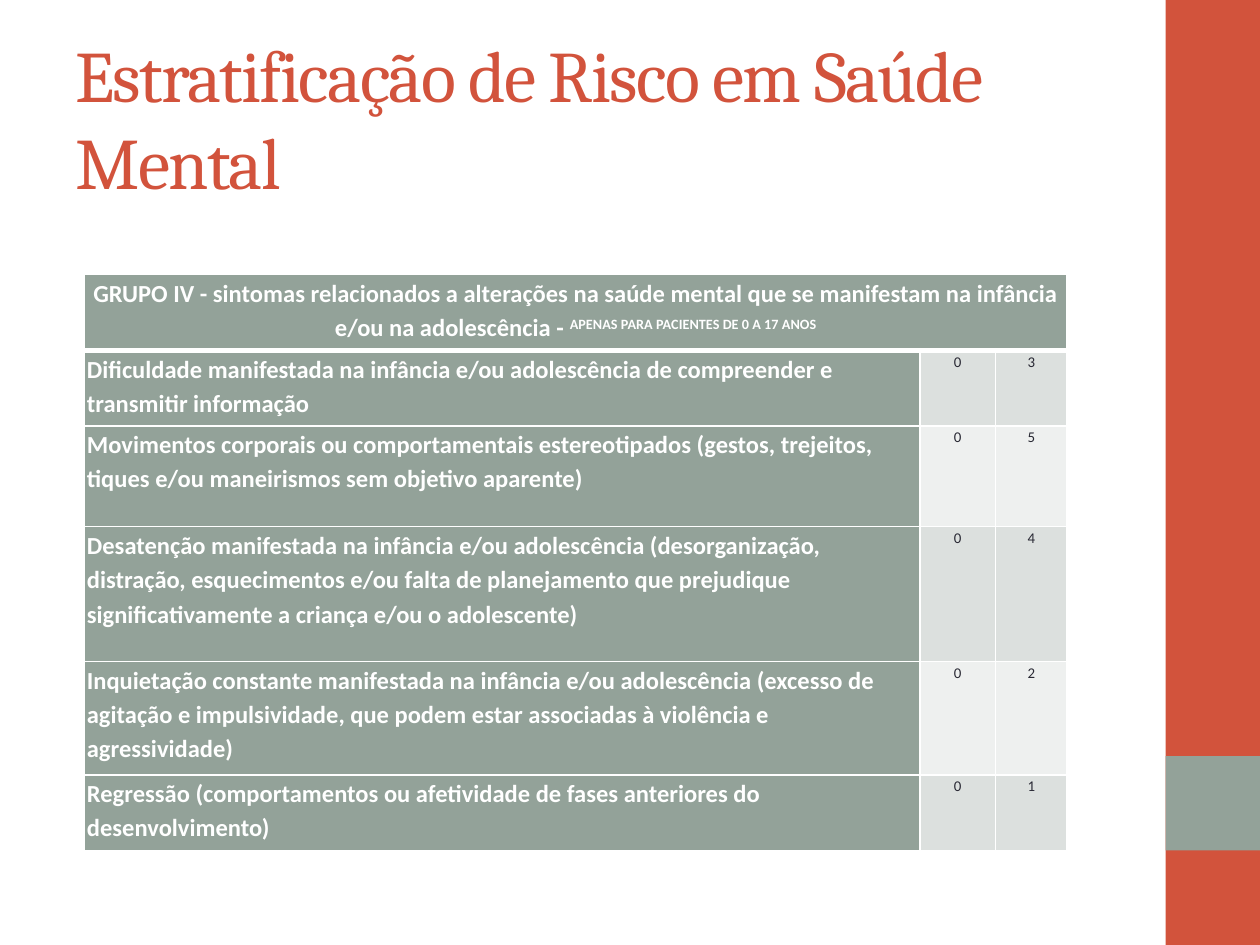
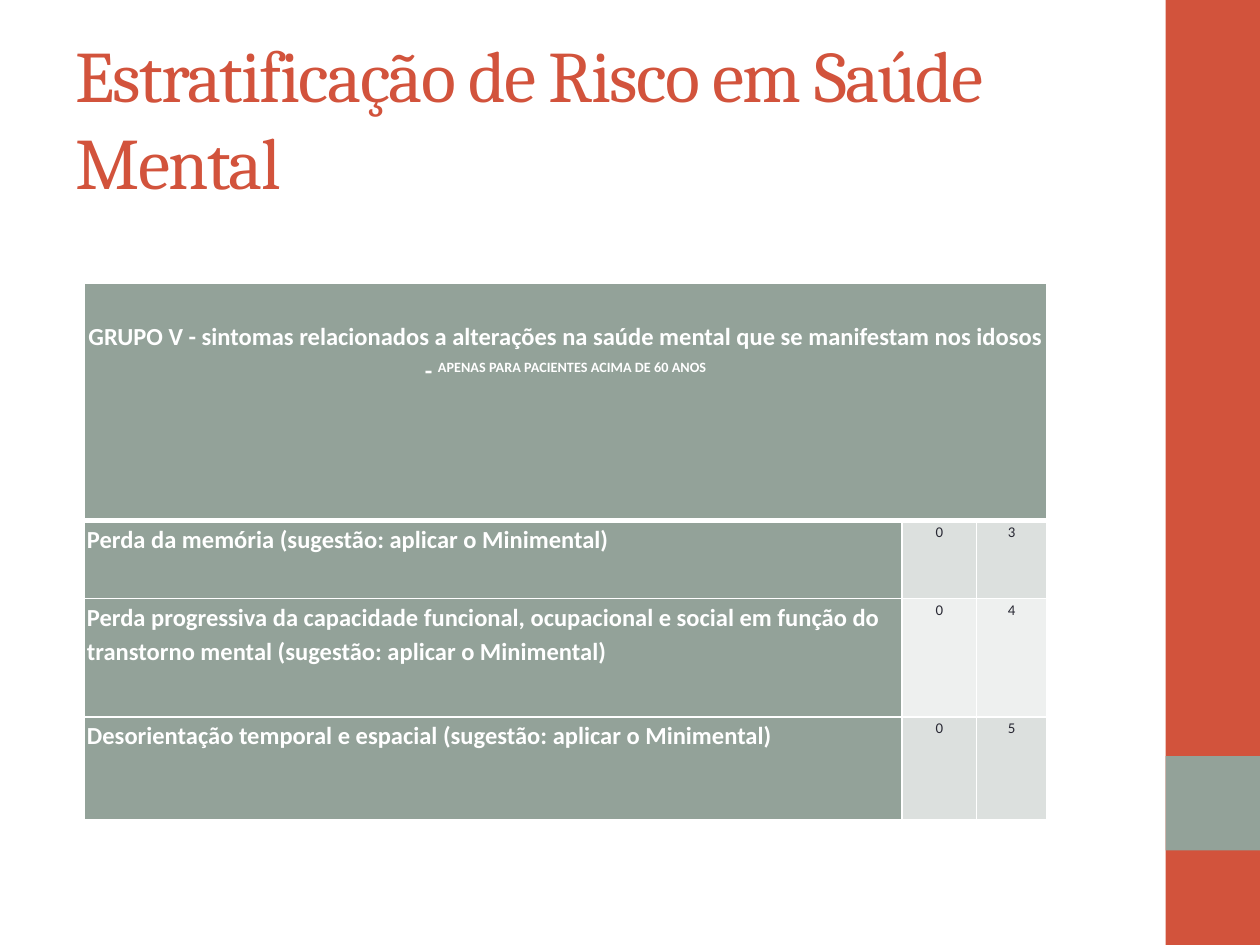
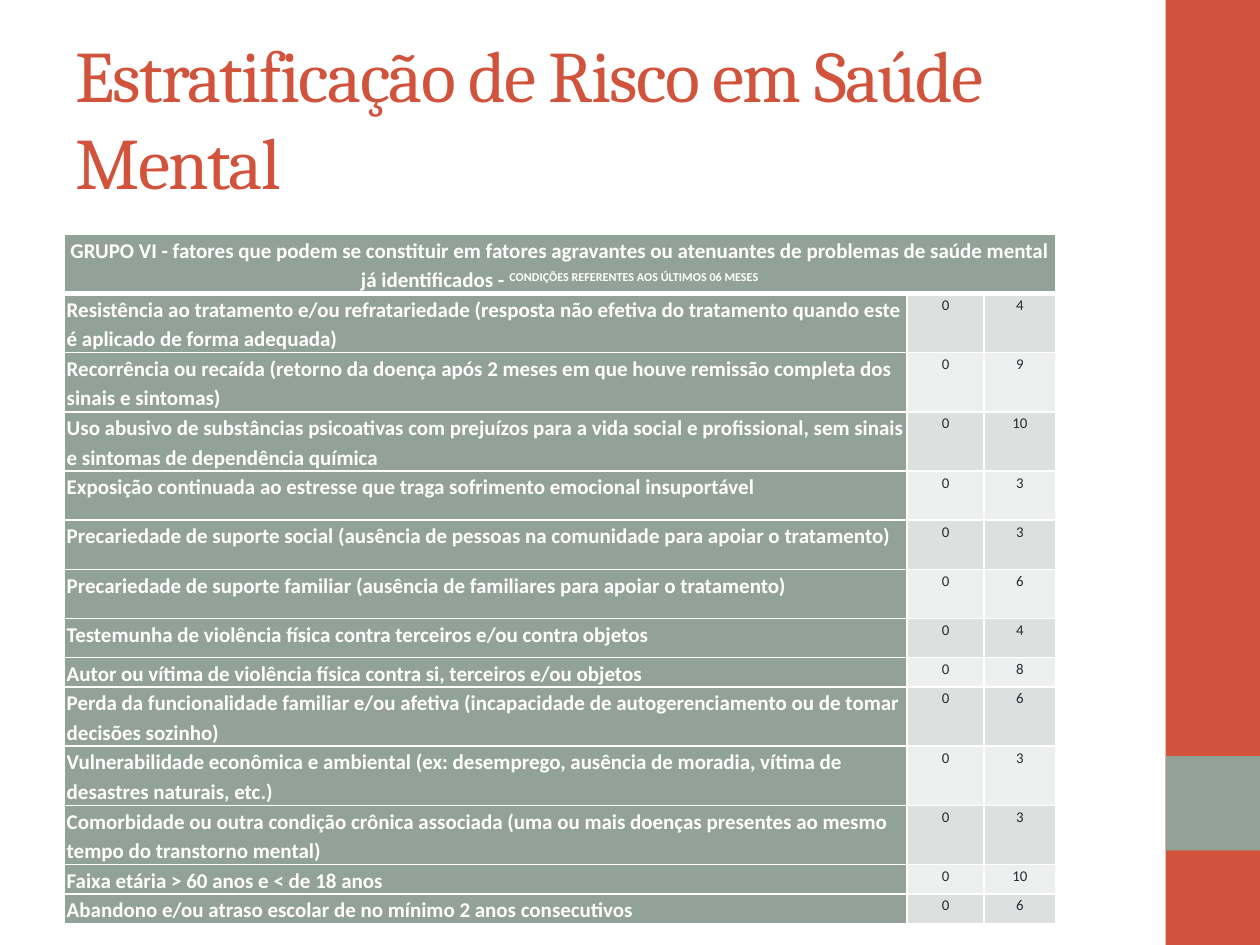
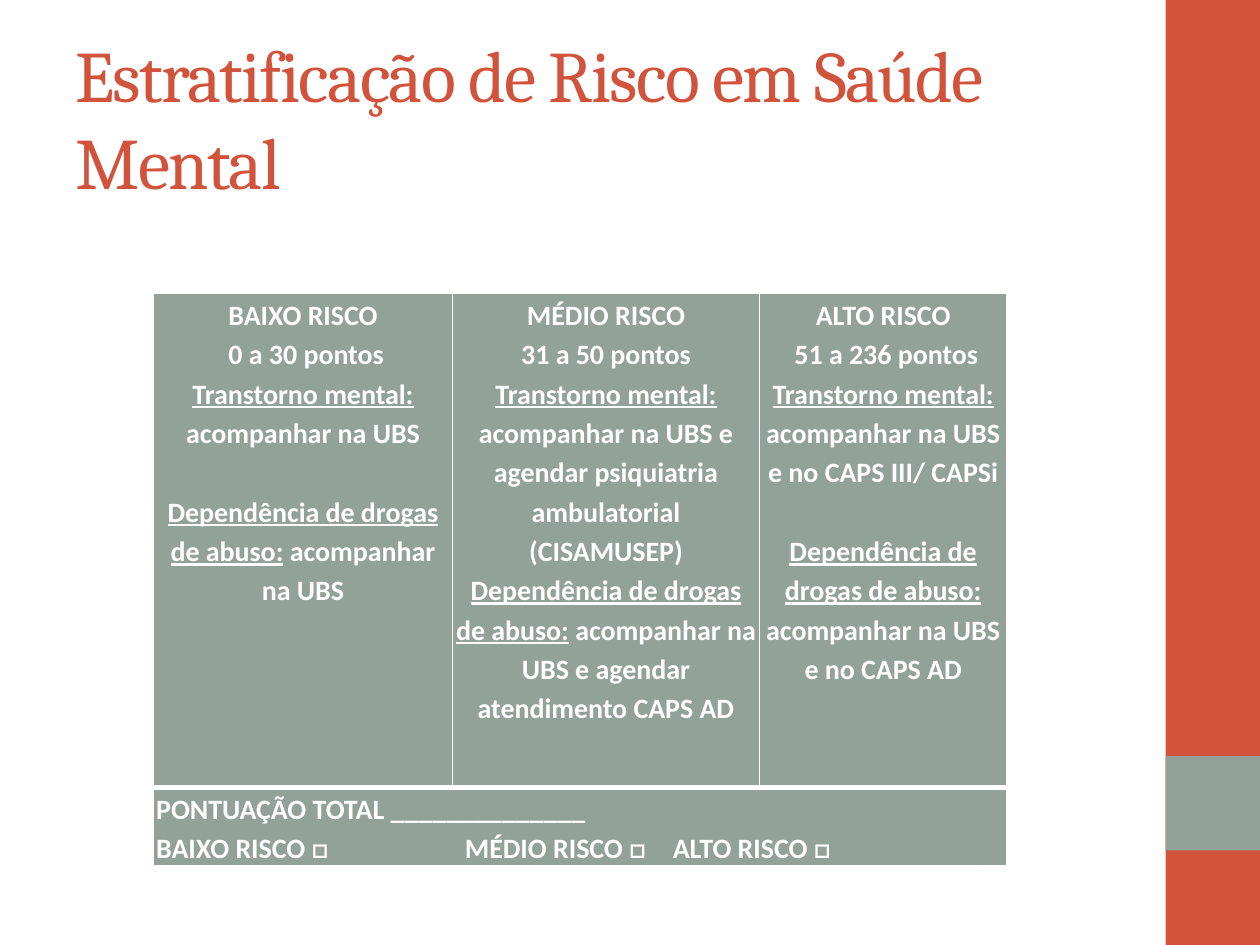
from lxml import etree
from pptx import Presentation
from pptx import util as u
from pptx.dml.color import RGBColor
from pptx.enum import shapes, text
from pptx.oxml.ns import qn

RED = RGBColor(0xD2, 0x53, 0x3C)
SAGE = RGBColor(0x93, 0xA2, 0x99)
WHITE = RGBColor(0xFF, 0xFF, 0xFF)
DARK = RGBColor(0x29, 0x29, 0x34)
TINTS = [RGBColor(0xEE, 0xF0, 0xEF), RGBColor(0xDC, 0xE0, 0xDE)]

TITLE = "Estratificação de Risco em Saúde Mental"
LEFT, MID = text.PP_ALIGN.LEFT, text.PP_ALIGN.CENTER
UNDER = {"underline": True}
RAISED = 30000  # superscript offset, thousandths of a percent

GROUP_4 = [
    ("Dificuldade manifestada na infância e/ou adolescência de compreender e "
     "transmitir informação", 3),
    ("Movimentos corporais ou comportamentais estereotipados (gestos, trejeitos, "
     "tiques e/ou maneirismos sem objetivo aparente)", 5),
    ("Desatenção manifestada na infância e/ou adolescência (desorganização, "
     "distração, esquecimentos e/ou falta de planejamento que prejudique "
     "significativamente a criança e/ou o adolescente)", 4),
    ("Inquietação constante manifestada na infância e/ou adolescência (excesso de "
     "agitação e impulsividade, que podem estar associadas à violência e "
     "agressividade)", 2),
    ("Regressão (comportamentos ou afetividade de fases anteriores do "
     "desenvolvimento)", 1),
]
GROUP_5 = [
    ("Perda da memória (sugestão: aplicar o Minimental)", 3),
    ("Perda progressiva da capacidade funcional, ocupacional e social em função do "
     "transtorno mental (sugestão: aplicar o Minimental)", 4),
    ("Desorientação temporal e espacial (sugestão: aplicar o Minimental)", 5),
]
GROUP_6 = [
    ("Resistência ao tratamento e/ou refratariedade (resposta não efetiva do "
     "tratamento quando este é aplicado de forma adequada)", 4),
    ("Recorrência ou recaída (retorno da doença após 2 meses em que houve remissão "
     "completa dos sinais e sintomas)", 9),
    ("Uso abusivo de substâncias psicoativas com prejuízos para a vida social e "
     "profissional, sem sinais e sintomas de dependência química", 10),
    ("Exposição continuada ao estresse que traga sofrimento emocional "
     "insuportável", 3),
    ("Precariedade de suporte social (ausência de pessoas na comunidade para apoiar "
     "o tratamento)", 3),
    ("Precariedade de suporte familiar (ausência de familiares para apoiar o "
     "tratamento)", 6),
    ("Testemunha de violência física contra terceiros e/ou contra objetos", 4),
    ("Autor ou vítima de violência física contra si, terceiros e/ou objetos", 8),
    ("Perda da funcionalidade familiar e/ou afetiva (incapacidade de "
     "autogerenciamento ou de tomar decisões sozinho)", 6),
    ("Vulnerabilidade econômica e ambiental (ex: desemprego, ausência de moradia, "
     "vítima de desastres naturais, etc.)", 3),
    ("Comorbidade ou outra condição crônica associada (uma ou mais doenças presentes "
     "ao mesmo tempo do transtorno mental)", 3),
    ("Faixa etária > 60 anos e < de 18 anos", 10),
    ("Abandono e/ou atraso escolar de no mínimo 2 anos consecutivos", 6),
]

# One entry per risk level: level, points, care lines for disorder and drugs,
# and whether a gap precedes the drug line
LEVELS = [
    ("BAIXO RISCO", " 0 a 30 pontos", ["acompanhar na UBS"],
     "acompanhar na UBS", True),
    ("MÉDIO RISCO", "31 a 50 pontos",
     ["acompanhar na UBS e agendar psiquiatria ambulatorial", "(CISAMUSEP)"],
     "acompanhar na UBS e agendar atendimento CAPS AD", False),
    ("ALTO RISCO", " 51 a 236 pontos", ["acompanhar na UBS e no CAPS III/ CAPSi"],
     "acompanhar na UBS e no CAPS AD", True),
]


def style(obj, **vals):
    """Set attributes from a dict of format values."""
    for name, val in vals.items():
        setattr(obj, name, val)


def add_run(para, words, size, color, face="Calibri", **fmt):
    run = para.add_run()
    run.text = words
    style(run.font, name=face, size=u.Pt(size), **fmt)
    run.font.color.rgb = color
    return run


def add_band(slide, top, tall, color):
    """Draw a side band and hand it to the master, behind everything."""
    box = [u.Inches(n) for n in (9.25, top, 0.75, tall)]
    band = slide.shapes.add_shape(shapes.MSO_SHAPE.RECTANGLE, *box)
    band.shadow.inherit = False
    band.fill.solid()
    band.fill.fore_color.rgb = color
    band.line.fill.background()
    tree = slide.slide_layout.slide_master.element.cSld.spTree
    spot = len(tree.findall(qn("p:sp"))) + 20
    band.element.nvSpPr.cNvPr.set("id", str(spot))
    first = tree.find(qn("p:sp"))
    if top:
        tree.findall(qn("p:sp"))[0].addnext(band.element)
    else:
        first.addprevious(band.element)


def add_slide(prs):
    """New slide with the shared title."""
    slide = prs.slides.add_slide(prs.slide_layouts[5])
    title = slide.shapes.title
    style(title, left=u.Inches(0.5), top=u.Inches(0.3),
          width=u.Inches(8.33), height=u.Inches(1.25))
    style(title.text_frame, word_wrap=True, auto_size=text.MSO_AUTO_SIZE.NONE,
          vertical_anchor=text.MSO_ANCHOR.MIDDLE)
    para = title.text_frame.paragraphs[0]
    para.alignment = LEFT
    run = add_run(para, TITLE, 41.4, RED, "Cambria")
    run.font._element.set("spc", "-100")
    return slide


def add_edges(cell, row):
    """White borders, thick below the first row."""
    props = cell._tc.get_or_add_tcPr()
    thick = {"T": row == 1, "B": row == 0}
    for side in "LRTB":
        wide = u.Pt(3 if thick.get(side) else 1)
        line = etree.SubElement(props, qn("a:ln" + side), w=str(wide))
        fill = etree.SubElement(line, qn("a:solidFill"))
        etree.SubElement(fill, qn("a:srgbClr"), val=str(WHITE))


def add_grid(slide, left, top, cols, rows):
    """Empty table with borders and sage cells."""
    box = [u.Inches(n) for n in (left, top, sum(cols), sum(rows))]
    grid = slide.shapes.add_table(len(rows), len(cols), *box).table
    for col, wide in zip(grid.columns, cols):
        col.width = u.Inches(wide)
    for i, (row, tall) in enumerate(zip(grid.rows, rows)):
        row.height = u.Inches(tall)
        for cell in row.cells:
            add_edges(cell, i)
            paint(cell, SAGE)
            style(cell, margin_left=u.Inches(0.02), margin_right=u.Inches(0.02),
                  margin_top=0, margin_bottom=0)
    return grid


def paint(cell, color):
    cell.fill.solid()
    cell.fill.fore_color.rgb = color


def write(cell, paras, size, align=LEFT, color=WHITE, bold=True):
    """Fill a cell; each paragraph is a list of (words, format) runs."""
    frame = cell.text_frame
    for i, runs in enumerate(paras):
        para = frame.add_paragraph() if i else frame.paragraphs[0]
        style(para, alignment=align, line_spacing=1.15)
        for words, fmt in runs:
            add_run(para, words, size, color, bold=bold, **fmt)


def add_scores(slide, left, top, cols, rows, size, head, note, items):
    """Symptom table: merged heading, then one scored row per item."""
    grid = add_grid(slide, left, top, cols, rows)
    cell = grid.cell(0, 0)
    cell.merge(grid.cell(0, 2))
    write(cell, [[(head + " - ", {}), (note, {})]], size, MID)
    last = cell.text_frame.paragraphs[0].runs[-1]
    last.font._element.set("baseline", str(RAISED))
    for i, (label, score) in enumerate(items, 1):
        write(grid.cell(i, 0), [[(label, {})]], size)
        for j, val in enumerate((0, score), 1):
            paint(grid.cell(i, j), TINTS[i % 2])
            write(grid.cell(i, j), [[(str(val), {})]], 8.5, MID, DARK, False)
    return grid


def add_levels(slide):
    """Risk levels with the care for each, and the total line."""
    grid = add_grid(slide, 1.22, 2.33, [2.37, 2.44, 1.96], [3.92, 0.62])
    for j, (level, points, care, drugs, gap) in enumerate(LEVELS):
        paras = [[(level, {})], [(points, {})],
                 [("Transtorno mental:", UNDER), (" " + care[0], {})]]
        paras += [[(more, {})] for more in care[1:]]
        paras.append([("Dependência de drogas de abuso:", UNDER),
                      (" " + drugs, {})])
        cell = grid.cell(0, j)
        write(cell, paras, 16, MID)
        if gap:
            cell.text_frame.paragraphs[-1].space_before = u.Pt(22.5)
    total = grid.cell(1, 0)
    total.merge(grid.cell(1, 2))
    boxes = "\t".join(level[0] + " □" for level in LEVELS)
    write(total, [[("PONTUAÇÃO TOTAL " + "_" * 14, {})], [(boxes, {})]], 16)
    props = total.text_frame.paragraphs[1]._p.get_or_add_pPr()
    tabs = etree.SubElement(props, qn("a:tabLst"))
    for stop in (2.45, 4.1):
        etree.SubElement(tabs, qn("a:tab"), pos=str(u.Inches(stop)), algn="l")


def main():
    prs = Presentation()
    style(prs, slide_width=u.Inches(10), slide_height=u.Inches(7.5))

    # Group IV: childhood and adolescence
    slide = add_slide(prs)
    add_band(slide, 0, 7.5, RED)
    add_band(slide, 6, 0.75, SAGE)
    add_scores(slide, 0.67, 2.18, [6.63, 0.6, 0.57],
               [0.6, 0.6, 0.8, 1.07, 0.9, 0.6], 14,
               "GRUPO IV - sintomas relacionados a alterações na saúde mental que "
               "se manifestam na infância e/ou na adolescência",
               "APENAS PARA PACIENTES DE 0 A 17 ANOS", GROUP_4)

    # Group V: the elderly
    grid = add_scores(add_slide(prs), 0.67, 2.25, [6.49, 0.59, 0.56],
                      [1.88, 0.62, 0.94, 0.82], 14,
                      "GRUPO V - sintomas relacionados a alterações na saúde mental "
                      "que se manifestam nos idosos",
                      "APENAS PARA PACIENTES ACIMA DE 60 ANOS", GROUP_5)
    grid.cell(0, 0).margin_top = u.Inches(0.27)

    # Group VI: aggravating or mitigating factors
    add_scores(add_slide(prs), 0.51, 1.86, [6.69, 0.61, 0.57],
               [0.47] * 4 + [0.39] * 3 + [0.31, 0.23] + [0.47] * 3 + [0.23] * 2, 12,
               "GRUPO VI - fatores que podem se constituir em fatores agravantes ou "
               "atenuantes de problemas de saúde mental já identificados",
               "CONDIÇÕES REFERENTES AOS ÚLTIMOS 06 MESES", GROUP_6)

    # Risk levels
    add_levels(add_slide(prs))
    prs.save("out.pptx")


main()
